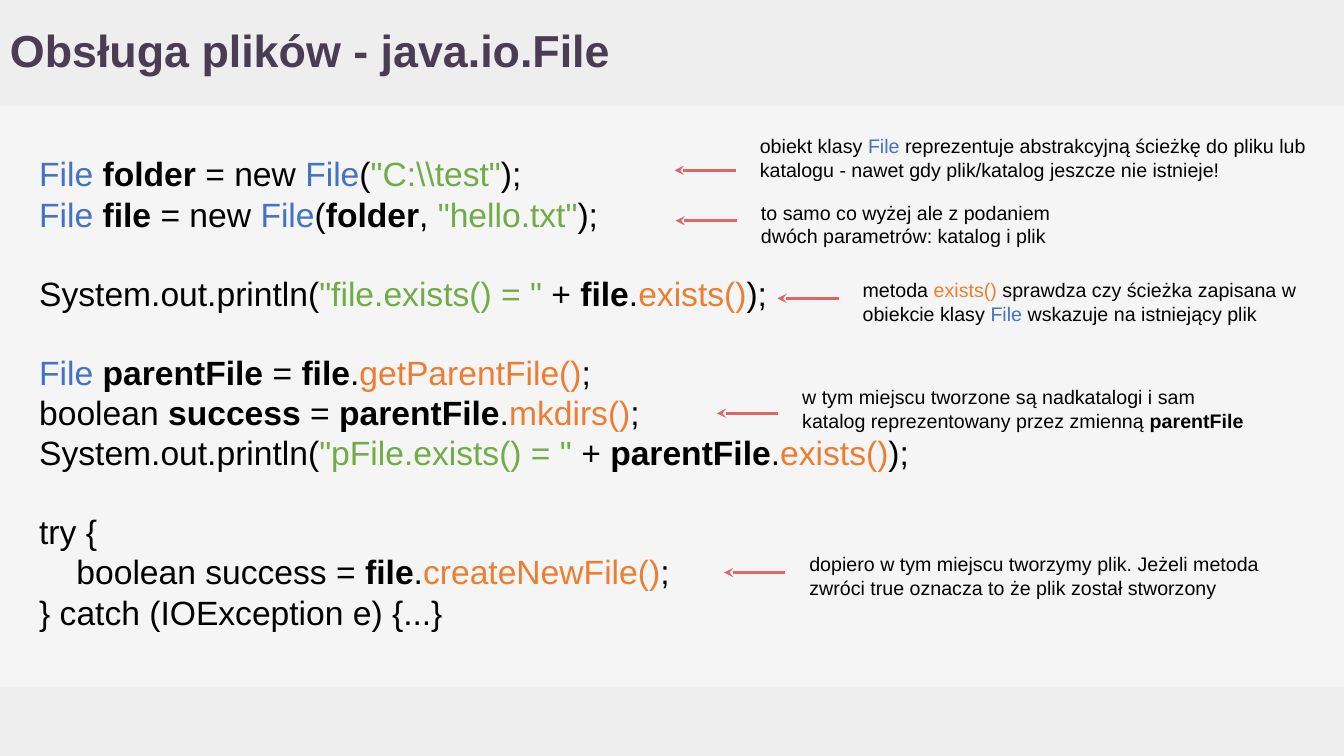
from dataclasses import dataclass

from lxml import etree
from pptx import Presentation
from pptx.dml.color import RGBColor
from pptx.enum.shapes import MSO_CONNECTOR, MSO_SHAPE
from pptx.enum.text import MSO_ANCHOR
from pptx.oxml.ns import qn
from pptx.util import Inches, Pt

RECT = MSO_SHAPE.RECTANGLE
STRAIGHT = MSO_CONNECTOR.STRAIGHT
TOP, MIDDLE = MSO_ANCHOR.TOP, MSO_ANCHOR.MIDDLE

WIDTH, HEIGHT = Inches(13.33), Inches(7.5)
COL, ROW = WIDTH / 100, HEIGHT / 100
INSET = Inches(0.1)
NOTE_ROWS, ARROW_COLS, ARROW_GAP = 8.27, 4.56, 1.05


@dataclass(frozen=True)
class Theme:
    """Colours and type sizes of the slide."""
    font: str = "Arial"
    background: str = "F5F5F5"
    bar: str = "EEEEEE"
    title: str = "4A3D53"
    text: str = "000000"
    type: str = "4472C4"
    string: str = "70AD47"
    call: str = "ED7D31"
    arrow: str = "E06666"
    title_size: float = 32
    code_size: float = 24
    note_size: float = 14
    block_gap: float = 27.6
    arrow_width: float = 2.25


THEME = Theme()


def blue(text):
    """Return a run for a class name."""
    return text, THEME.type, False


def green(text):
    """Return a run for a string literal."""
    return text, THEME.string, False


def orange(text):
    """Return a run for a method call."""
    return text, THEME.call, False


def bold(text, color=THEME.text):
    """Return a bold run."""
    return text, color, True


CODE_BLOCKS = [
    [
        [blue("File "), bold("folder "), "= new", blue(" File"), "(",
         green('"C:\\\\test"'), ");"],
        [blue("File "), bold("file "), "= new", blue(" File"), "(",
         bold("folder"), ",", green(' "hello.txt"'), ");"],
    ],
    [
        ["System.out.println(", green('"file.exists() = "'), " + ",
         bold("file"), ".", orange("exists()"), ");"],
    ],
    [
        [blue("File "), bold("parentFile "), "= ", bold("file"), ".",
         orange("getParentFile()"), ";"],
        ["boolean ", bold("success "), "=", bold(" parentFile"), ".",
         orange("mkdirs()"), ";"],
        ["System.out.println(", green('"pFile.exists() = "'), " + ",
         bold("parentFile"), ".", orange("exists()"), ");"],
    ],
    [
        ["try {"],
        ["    boolean success = ", bold("file"), ".",
         orange("createNewFile()"), ";"],
        ["} catch (IOException e) {...}"],
    ],
]

NOTES = [
    (55.8, 16.4, 43.12, 22.53,
     ["obiekt klasy ", blue("File "),
      "reprezentuje abstrakcyjną ścieżkę do pliku lub katalogu - "
      "nawet gdy plik/katalog jeszcze nie istnieje!"]),
    (55.88, 25.2, 23.1, 29.2,
     ["to samo co wyżej ale z podaniem dwóch parametrów: katalog i plik"]),
    (63.45, 35.47, 34.2, 39.47,
     ["metoda ", orange("exists()"),
      " sprawdza czy ścieżka zapisana w obiekcie klasy ", blue("File "),
      "wskazuje na istniejący plik"]),
    (58.95, 49.6, 35.48, 54.67,
     ["w tym miejscu tworzone są nadkatalogi i sam katalog "
      "reprezentowany przez zmienną ", bold("parentFile")]),
    (59.48, 71.73, 35.48, 75.73,
     ["dopiero w tym miejscu tworzymy plik. Jeżeli metoda "
      "zwróci true oznacza to że plik został stworzony"]),
]


def grid(left, top, width, height):
    """Turn grid columns and rows into slide lengths."""
    return (round(left * COL), round(top * ROW),
            round(width * COL), round(height * ROW))


def add_bar(s, top, height):
    """Add a full-width band."""
    sp = s.shapes.add_shape(RECT, *grid(0, top, 100, height))
    sp.shadow.inherit = False
    sp.fill.solid()
    sp.fill.fore_color.rgb = RGBColor.from_string(THEME.bar)
    sp.line.fill.background()


def add_text(s, blocks, box, size, anchor=TOP, line_spacing=None):
    """Add blocks of lines of runs, with a gap before each later block."""
    tf = s.shapes.add_textbox(*grid(*box)).text_frame
    tf.word_wrap = True
    tf.vertical_anchor = anchor
    tf.margin_left = tf.margin_right = INSET
    tf.margin_top = tf.margin_bottom = INSET
    p = tf.paragraphs[0]
    for i, block in enumerate(blocks):
        for j, line in enumerate(block):
            if i or j:
                p = tf.add_paragraph()
            if i and not j:
                p.space_before = Pt(THEME.block_gap)
            if line_spacing:
                p.line_spacing = line_spacing
            for run in line:
                plain = isinstance(run, str)
                text, color, is_bold = (run, THEME.text, False) if plain else run
                r = p.add_run()
                r.text = text
                r.font.name = THEME.font
                r.font.size = Pt(size)
                r.font.bold = is_bold
                r.font.color.rgb = RGBColor.from_string(color)


def add_arrow(s, start, end, row):
    """Add a horizontal arrow pointing at the code."""
    x1, y, x2, _ = grid(start, row, end, 0)
    cxn = s.shapes.add_connector(STRAIGHT, x1, y, x2, y)
    cxn.line.color.rgb = RGBColor.from_string(THEME.arrow)
    cxn.line.width = Pt(THEME.arrow_width)
    etree.SubElement(cxn.line._get_or_add_ln(), qn("a:tailEnd"), type="stealth")
    etree.SubElement(cxn._element.spPr, qn("a:effectLst"))


def add_note(s, left, top, width, arrow_row, line):
    """Add a remark and the arrow on its left."""
    start = left - ARROW_GAP
    add_arrow(s, start, start - ARROW_COLS, arrow_row)
    add_text(s, [[line]], (left, top, width, NOTE_ROWS), THEME.note_size)


def main():
    """Build and save the slide."""
    prs = Presentation()
    prs.slide_width, prs.slide_height = WIDTH, HEIGHT
    s = prs.slides.add_slide(prs.slide_layouts[6])
    s.background.fill.solid()
    s.background.fill.fore_color.rgb = RGBColor.from_string(THEME.background)
    add_bar(s, 90.93, 9.07)
    add_bar(s, 0, 14)
    add_text(s, [[[bold("Obsługa plików - java.io.File", THEME.title)]]],
             (0, 0, 89.4, 14), THEME.title_size, MIDDLE, 0.9)
    add_text(s, CODE_BLOCKS, (2.18, 18.93, 67.05, 64.4), THEME.code_size)
    for note in NOTES:
        add_note(s, *note)
    prs.save("out.pptx")


if __name__ == "__main__":
    main()
